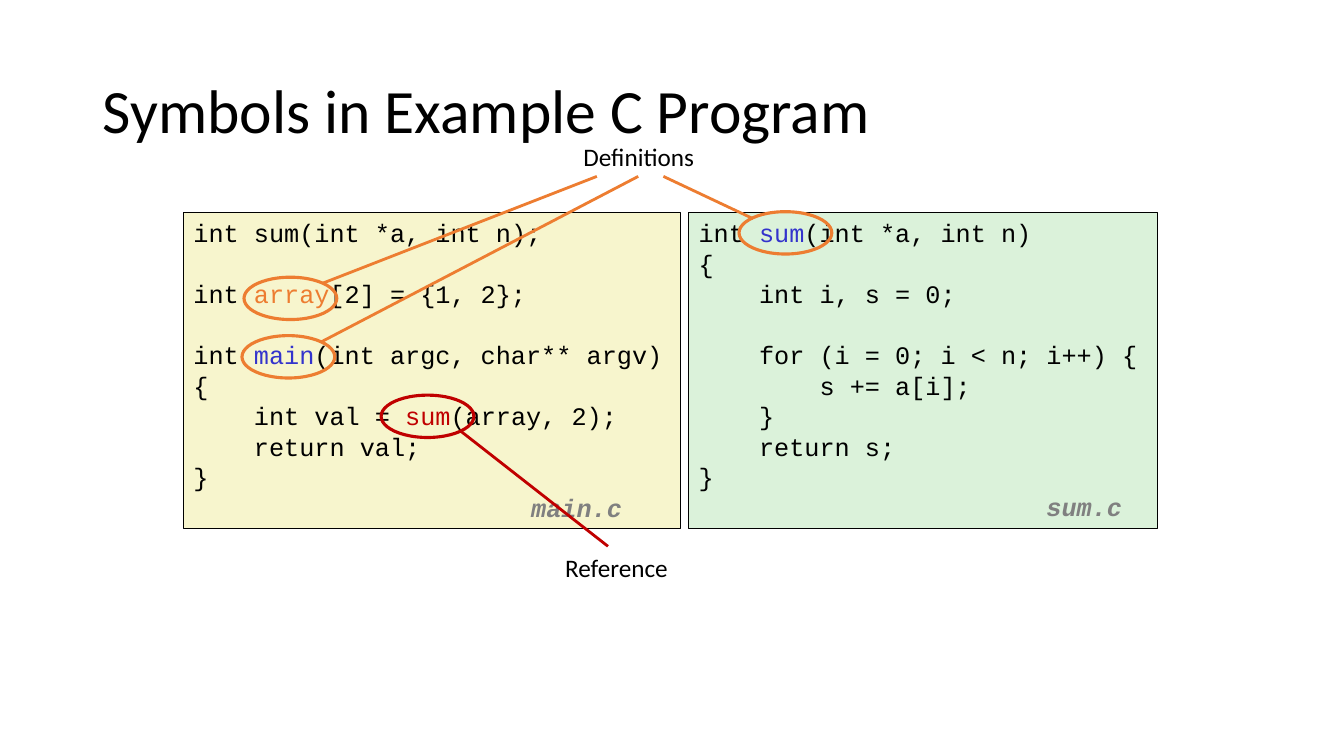
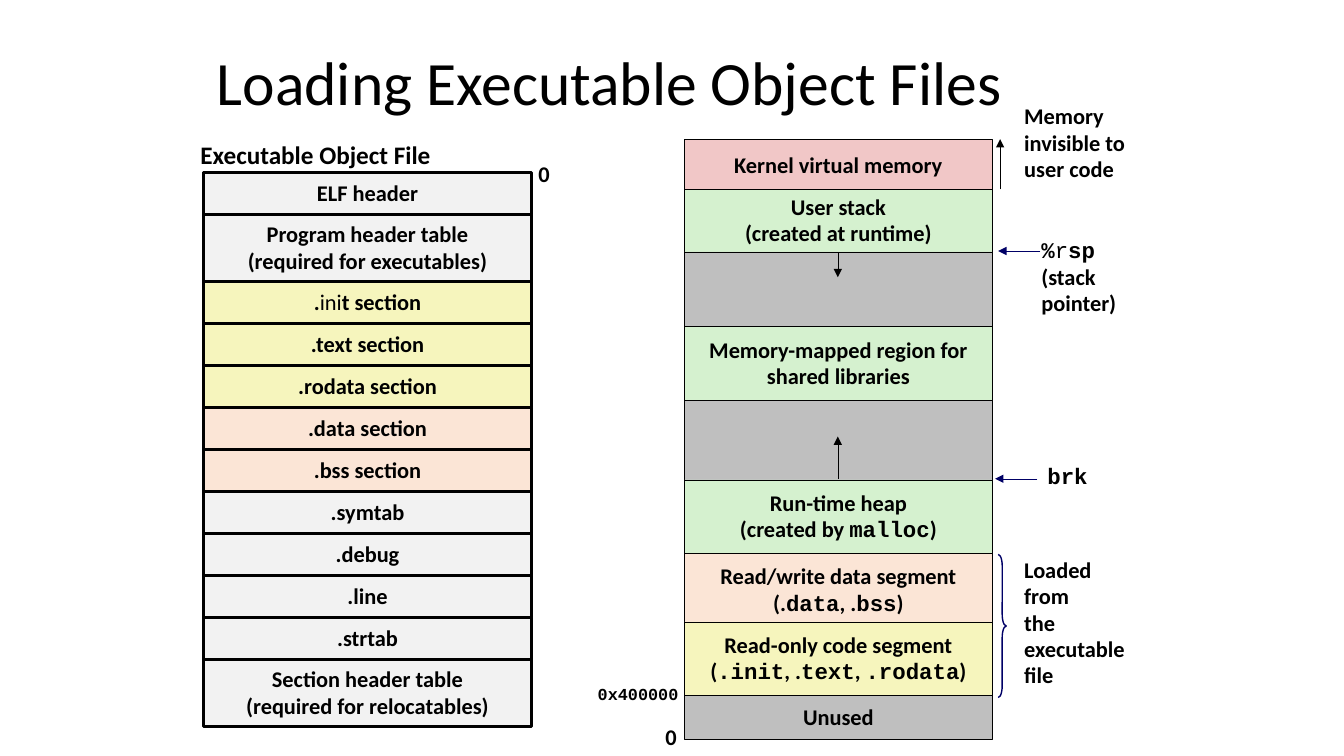
from pptx import Presentation
from pptx.dml.color import RGBColor
from pptx.enum.shapes import MSO_CONNECTOR, MSO_SHAPE
from pptx.enum.text import MSO_ANCHOR, MSO_AUTO_SIZE, PP_ALIGN
from pptx.oxml.ns import qn
from pptx.util import Inches, Pt
from lxml import etree

RECT, OVAL, BRACE = MSO_SHAPE.RECTANGLE, MSO_SHAPE.OVAL, MSO_SHAPE.RIGHT_BRACE
LEFT, CENTER = PP_ALIGN.LEFT, PP_ALIGN.CENTER
TOP, MIDDLE = MSO_ANCHOR.TOP, MSO_ANCHOR.MIDDLE
STRAIGHT, NO_FIT = MSO_CONNECTOR.STRAIGHT, MSO_AUTO_SIZE.NONE

# Colours and fonts
BLACK = RGBColor(0x00, 0x00, 0x00)
GRAY = RGBColor(0x80, 0x80, 0x80)
SILVER = RGBColor(0xBF, 0xBF, 0xBF)
PALE = RGBColor(0xF2, 0xF2, 0xF2)
CREAM = RGBColor(0xF7, 0xF5, 0xCD)
MINT = RGBColor(0xDB, 0xF2, 0xDA)
GREEN = RGBColor(0xD5, 0xF1, 0xCF)
YELLOW = RGBColor(0xF6, 0xF5, 0xBD)
PEACH = RGBColor(0xFB, 0xE5, 0xD6)
PINK = RGBColor(0xF1, 0xC7, 0xC7)
ORANGE = RGBColor(0xED, 0x7D, 0x31)
BLUE = RGBColor(0x33, 0x33, 0xCC)
NAVY = RGBColor(0x00, 0x00, 0x66)
RED = RGBColor(0xC0, 0x00, 0x00)
SANS, MONO = "Calibri", "Courier New"

# Code: height of a line and width of one indent, in points
LINE, TAB = 21.75, 43.2

# Each code line: indent level, blank lines above, runs
MAIN_C = [
    (0, 0, ["int sum(int *a, int n);"]),
    (0, 1, ["int ", ("array", {"ink": ORANGE}), "[2] = {1, 2};"]),
    (0, 1, ["int ", ("main", {"ink": BLUE}), "(int argc, char** argv)"]),
    (0, 0, ["{"]),
    (1, 0, ["int val = ", ("sum", {"ink": RED}), "(array, 2);"]),
    (1, 0, ["return val;"]),
    (0, 0, ["}"]),
]
SUM_C = [
    (0, 0, ["int ", ("sum", {"ink": BLUE}), "(int *a, int n)"]),
    (0, 0, ["{"]),
    (1, 0, ["int i, s = 0;"]),
    (1, 1, ["for (i = 0; i < n; i++) {"]),
    (2, 0, ["s += a[i];"]),
    (1, 0, ["}"]),
    (1, 0, ["return s;"]),
    (0, 0, ["}"]),
]


def mono(text):
    return text, {"font": MONO}


# File parts: fill, lines
PARTS = [
    (PALE, ["ELF header"]),
    (PALE, ["Program header table", "(required for executables)"]),
    (YELLOW, [[".", ("ini", {"bold": False}), "t section"]]),
    (YELLOW, [".text section"]),
    (YELLOW, [".rodata section"]),
    (PEACH, [".data section"]),
    (PEACH, [".bss section"]),
    (PALE, [".symtab"]),
    (PALE, [".debug"]),
    (PALE, [".line"]),
    (PALE, [".strtab"]),
    (PALE, ["Section header table", "(required for relocatables)"]),
]

# Memory areas: visible height, part under the next area, fill, lines
AREAS = [
    (0.5, 0.03, PINK, ["Kernel virtual memory"]),
    (0.62, 0, GREEN, ["User stack", "(created at runtime)"]),
    (0.74, 0, SILVER, []),
    (0.73, 0, GREEN, ["Memory-mapped region for", "shared libraries"]),
    (0.79, 0, SILVER, []),
    (0.73, 0, GREEN, ["Run-time heap", ["(created by ", mono("malloc"), ")"]]),
    (0.68, 0.05, PEACH, ["Read/write data segment",
                         ["(.", mono("data"), ", .", mono("bss"), ")"]]),
    (0.73, 0, YELLOW, ["Read-only code segment",
                       ["(", mono(".init"), ", .", mono("text"), ", ",
                        mono(".rodata"), ")"]]),
    (0.43, 0, SILVER, ["Unused"]),
]


# Text
def add_runs(para, runs):
    for item in [runs] if isinstance(runs, str) else runs:
        text, look = (item, {}) if isinstance(item, str) else item
        run = para.add_run()
        run.text = text
        if "font" in look:
            run.font.name = look["font"]
        if "bold" in look:
            run.font.bold = look["bold"]
        if "ink" in look:
            run.font.color.rgb = look["ink"]


def set_font(para, size, font=SANS, ink=BLACK, bold=False, slant=False):
    face = para.font
    face.name, face.size, face.bold, face.italic = font, Pt(size), bold, slant
    face.color.rgb = ink


def fill_text(frame, lines, align=LEFT, space=0.98, **look):
    for num, runs in enumerate(lines):
        para = frame.add_paragraph() if num else frame.paragraphs[0]
        para.alignment, para.line_spacing = align, space
        set_font(para, **look)
        add_runs(para, runs)


def add_title(prs, text, x, y, w, h):
    slide = prs.slides.add_slide(prs.slide_layouts[5])
    title = slide.shapes.title
    title.left, title.top = Inches(x), Inches(y)
    title.width, title.height = Inches(w), Inches(h)
    frame = title.text_frame
    frame.auto_size, frame.vertical_anchor = NO_FIT, MIDDLE
    fill_text(frame, [text], space=0.9, size=44)
    return slide


def add_label(slide, x, y, w, h, lines, wrap=False, **look):
    frame = slide.shapes.add_textbox(
        Inches(x), Inches(y), Inches(w), Inches(h)).text_frame
    frame.word_wrap = wrap
    fill_text(frame, lines, **look)


# Shapes
def add_form(slide, kind, x, y, w, h, line, weight, fill=None):
    form = slide.shapes.add_shape(
        kind, Inches(x), Inches(y), Inches(w), Inches(h))
    form.shadow.inherit = False
    if fill is None:
        form.fill.background()
    else:
        form.fill.solid()
        form.fill.fore_color.rgb = fill
    form.line.color.rgb, form.line.width = line, Pt(weight)
    return form


def add_cell(slide, x, y, w, h, fill, weight, lines):
    frame = add_form(slide, RECT, x, y, w, h, BLACK, weight, fill).text_frame
    frame.word_wrap, frame.vertical_anchor = False, MIDDLE
    fill_text(frame, lines, CENTER, size=16, bold=True)


def add_code(slide, x, w, fill, code):
    frame = add_form(slide, RECT, x, 2.11, w, 3.13, BLACK, 0.25,
                     fill).text_frame
    frame.word_wrap, frame.vertical_anchor = False, TOP
    fill_text(frame, [runs for _, _, runs in code], space=Pt(LINE),
              size=18, font=MONO)
    for para, (level, gap, _) in zip(frame.paragraphs, code):
        para.space_before = Pt(gap * LINE)
        props = para._p.get_or_add_pPr()
        props.set("marL", str(Pt(level * TAB)))
        props.set("indent", "0")


def add_line(slide, start, end, ink, weight, arrow=False):
    line = slide.shapes.add_connector(
        STRAIGHT, *(Inches(n) for n in (*start, *end)))
    line.line.color.rgb, line.line.width = ink, Pt(weight)
    if arrow:
        etree.SubElement(line.line._get_or_add_ln(), qn("a:tailEnd"),
                         type="triangle")
    etree.SubElement(line._element.spPr, qn("a:effectLst"))


# Slides
def draw_symbols(prs):
    slide = add_title(prs, "Symbols in Example C Program",
                      0.92, 0.4, 11.5, 1.45)
    add_code(slide, 1.82, 4.93, CREAM, MAIN_C)
    add_code(slide, 6.83, 4.65, MINT, SUM_C)
    for x, y, w, name in [(5.17, 4.86, 1.1, "main.c"),
                          (10.28, 4.85, 0.95, "sum.c")]:
        add_label(slide, x, y, w, 0.39, [name], space=0.94, size=18,
                  font=MONO, ink=GRAY, bold=True, slant=True)

    # Rings around symbols, each tied to its label
    for x, y, start, end, ink in [
            (2.42, 2.75, (3.2, 2.81), (5.92, 1.75), ORANGE),
            (2.4, 3.33, (3.19, 3.39), (6.33, 1.75), ORANGE),
            (7.33, 2.1, (7.47, 2.17), (6.58, 1.75), ORANGE),
            (3.78, 3.92, (4.56, 4.27), (6.03, 5.42), RED)]:
        add_form(slide, OVAL, x, y, 0.92, 0.42, ink, 2.25)
        add_line(slide, start, end, ink, 2)
    for x, y, w, text in [(5.66, 1.35, 1.35, "Definitions"),
                          (5.48, 5.43, 1.27, "Reference")]:
        add_label(slide, x, y, w, 0.4, [text], align=CENTER, space=1, size=18)


def draw_loading(prs):
    slide = add_title(prs, "Loading Executable Object Files",
                      2.05, 0.42, 9.53, 0.86)

    # Object file
    y = 1.71
    for fill, lines in PARTS:
        h = 5 / 12 if len(lines) == 1 else 2 / 3
        add_cell(slide, 2.02, y, 3.25, h, fill, 2, lines)
        y += h
    add_label(slide, 1.88, 1.35, 2.5, 0.4, ["Executable Object File"],
              align=CENTER, size=18, bold=True)

    # Memory
    y = 1.38
    for h, lap, fill, lines in AREAS:
        add_cell(slide, 6.79, y, 3.05, h + lap, fill, 0.25, lines)
        y += h
    for start, end, ink in [((8.31, 4.75), (8.31, 4.33), BLACK),
                            ((8.31, 2.5), (8.31, 2.75), BLACK),
                            ((9.92, 1.88), (9.92, 1.38), BLACK),
                            ((10.32, 2.49), (9.9, 2.49), NAVY),
                            ((10.29, 4.75), (9.87, 4.75), NAVY)]:
        add_line(slide, start, end, ink, 0.25, arrow=True)
    brace = add_form(slide, BRACE, 9.9, 5.5, 0.08, 1.42, NAVY, 1)
    brace.adjustments[0] = 1.42

    # Notes beside the stacks
    for x, y, w, h, wrap, lines in [
            (5.24, 1.55, 0.31, 0.37, False, ["0"]),
            (6.5, 7.14, 0.31, 0.37, False, ["0"]),
            (10.06, 0.98, 1.44, 0.9, True,
             ["Memory", "invisible to user code"]),
            (10.23, 2.31, 0.95, 0.88, False,
             [[mono("%"), ("r", {"font": MONO, "bold": False}), mono("sp")],
              "(stack", "pointer)"]),
            (10.06, 5.48, 1.26, 1.42, False,
             ["Loaded", "from", "the", "executable", "file"])]:
        add_label(slide, x, y, w, h, lines, wrap, size=16, bold=True)
    for x, y, w, h, size, text in [(10.29, 4.56, 0.6, 0.36, 16, "brk"),
                                   (5.83, 6.75, 1.01, 0.3, 12, "0x400000")]:
        add_label(slide, x, y, w, h, [text], space=0.94, size=size,
                  font=MONO, bold=True)


def main():
    prs = Presentation()
    prs.slide_width, prs.slide_height = Inches(13.33), Inches(7.5)
    draw_symbols(prs)
    draw_loading(prs)
    prs.save("out.pptx")


if __name__ == "__main__":
    main()
